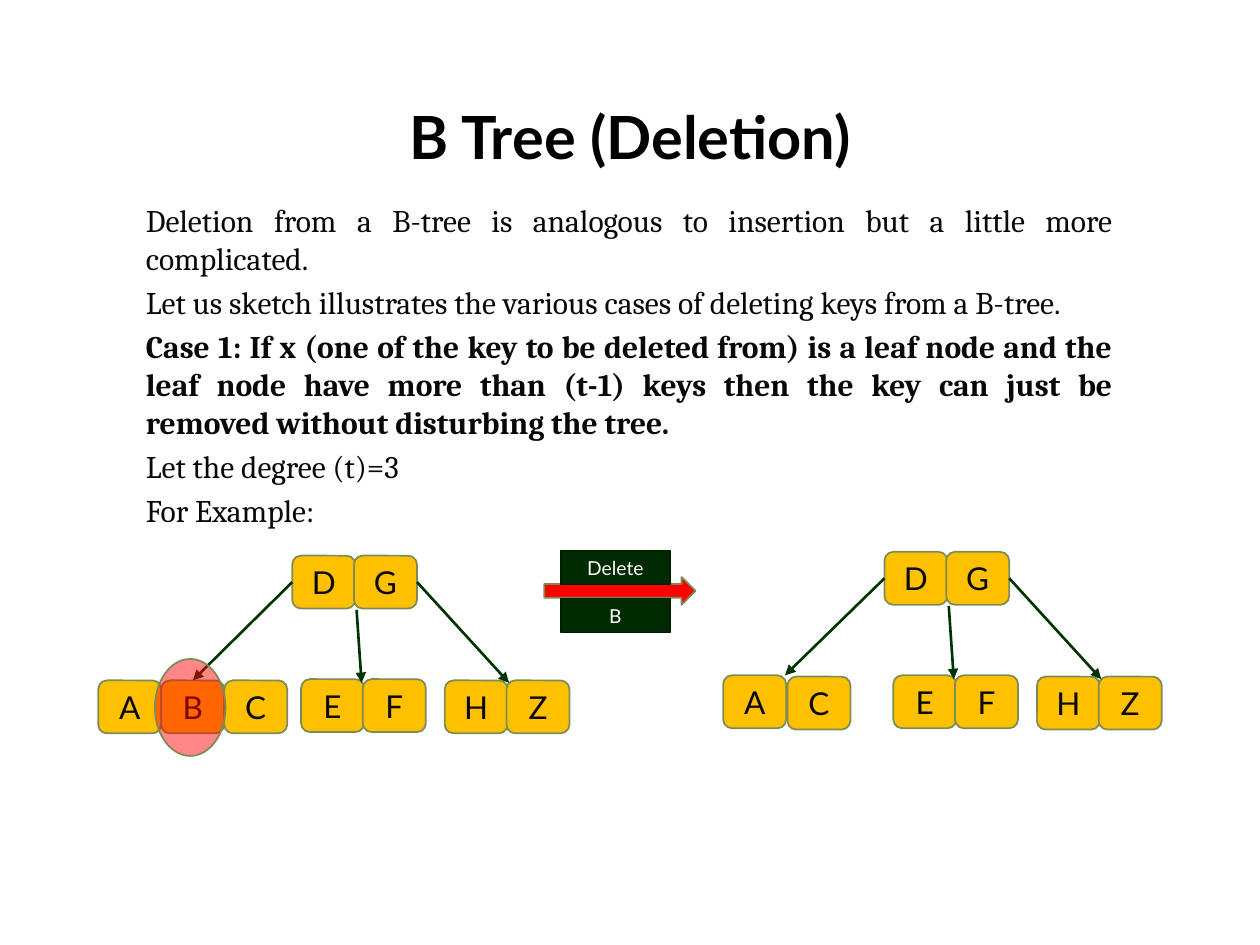
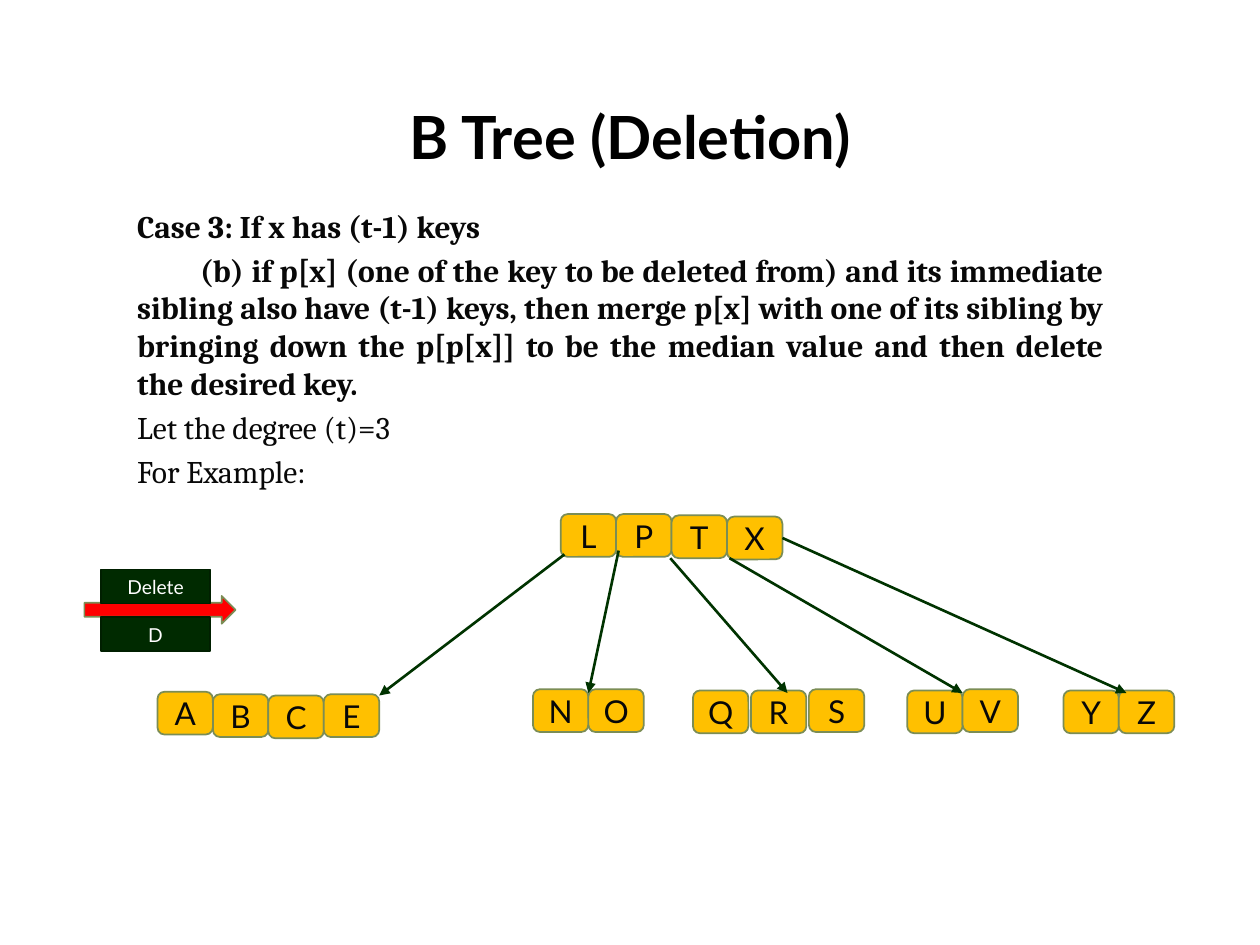
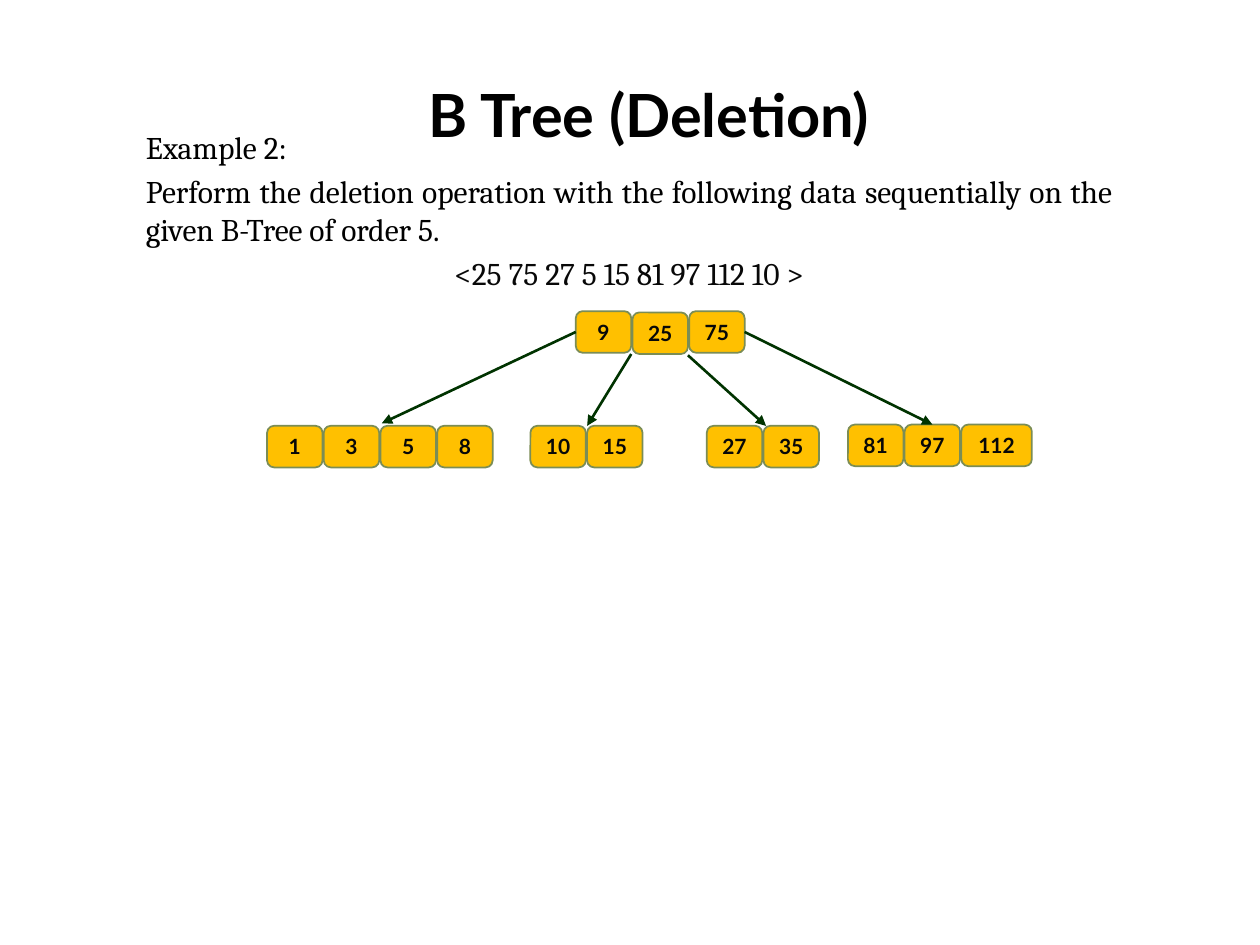
from dataclasses import dataclass

from lxml import etree
from pptx import Presentation
from pptx.dml.color import RGBColor
from pptx.enum import shapes as kinds, text as txt
from pptx.oxml.ns import qn
from pptx.util import Inches, Pt


@dataclass(frozen=True)
class Theme:
    heading_font: str = "Lato"
    body_font: str = "Cambria"
    title_size: int = 34
    body_size: int = 18
    badge_size: int = 11
    black: str = "000000"
    ink: str = "080808"
    white: str = "FFFFFF"
    gold: str = "FFC000"
    olive: str = "7B8D55"
    red: str = "FF0000"
    forest: str = "002A00"
    forest_edge: str = "001F00"
    link: str = "003300"


THEME = Theme()
TITLE = "B Tree (Deletion)"
LEFT, TOP, RIGHT = 1, 0, 3

JUSTIFY, CENTER = txt.PP_ALIGN.JUSTIFY, txt.PP_ALIGN.CENTER
DEGREE = [{"text": "Let the degree (t)=3"}, {"text": "For Example:"}]

SLIDES = [
    {
        "title_at": (0.5, 0.68),
        "body_at": (1.06, 1.55, 7.87, 4.74),
        "body": [
            {"text": "Deletion from a B-tree is analogous to insertion but a little more complicated."},
            {"text": "Let us sketch illustrates the various cases of deleting keys from a B-tree."},
            {"text": "Case 1: If x (one of the key to be deleted from) is a leaf node and the leaf node "
                     "have more than (t-1) keys then the key can just be removed without disturbing "
                     "the tree.", "bold": True},
            *DEGREE,
        ],
        "badge": ("B", 4.32, 4.58),
        "cell": {"width": 0.5, "height": 0.42, "pitch": 0.49, "size": 18, "bold": False},
        "trees": [
            {
                "nodes": [
                    {"keys": "DG", "at": (7.02, 4.38)},
                    {"keys": "AC", "at": (5.74, 5.36), "pitch": 0.51, "drops": (0, 0.01)},
                    {"keys": "EF", "at": (7.09, 5.36)},
                    {"keys": "HZ", "at": (8.23, 5.37)},
                ],
                "links": [
                    (("D", LEFT), (6.23, 5.36)),
                    ((7.53, 4.81), (7.57, 5.39)),
                    (("G", RIGHT), (8.74, 5.39)),
                ],
            },
            {
                "nodes": [
                    {"keys": "DG", "at": (2.32, 4.41)},
                    {"keys": "ABC", "at": (0.78, 5.4), "pitch": 0.5},
                    {"keys": "EF", "at": (2.39, 5.39)},
                    {"keys": "HZ", "at": (3.53, 5.4)},
                ],
                "links": [
                    (("D", LEFT), ("B", TOP)),
                    ((2.83, 4.84), (2.87, 5.42)),
                    (("G", RIGHT), (4.04, 5.42)),
                ],
            },
        ],
        "highlight": (1.23, 5.23, 0.56, 0.77),
    },
    {
        "title_at": (0.5, 0.68),
        "body_at": (0.99, 1.59, 7.87, 4.74),
        "body": [
            {"text": "Case 3: If x has (t-1) keys", "bold": True},
            {"text": "(b) if p[x] (one of the key to be deleted from) and its immediate sibling also "
                     "have (t-1) keys, then merge p[x] with one of its sibling by bringing down the "
                     "p[p[x]] to be the median value and then delete the desired key.",
             "bold": True, "indent": 0.5},
            *DEGREE,
        ],
        "badge": ("D", 0.67, 4.73),
        "cell": {"width": 0.44, "height": 0.34, "pitch": 0.44, "size": 18, "bold": False},
        "trees": [
            {
                "nodes": [
                    {"keys": "LPTX", "at": (4.45, 4.08), "drops": (0, 0, 0.01, 0.02)},
                    {"keys": "ABCE", "at": (1.25, 5.49), "drops": (0, 0.02, 0.03, 0.02)},
                    {"keys": "NO", "at": (4.23, 5.47)},
                    {"keys": "QRS", "at": (5.5, 5.48), "pitch": 0.46, "drops": (0, 0, -0.01)},
                    {"keys": "UV", "at": (7.2, 5.48), "drops": (0, -0.01)},
                    {"keys": "YZ", "at": (8.44, 5.48)},
                ],
                "links": [
                    ((4.48, 4.4), (3.01, 5.52)),
                    ((4.91, 4.37), (4.67, 5.5)),
                    ((5.32, 4.43), (6.25, 5.5)),
                    ((5.79, 4.43), (7.64, 5.5)),
                    (("X", RIGHT), (8.94, 5.5)),
                ],
            },
        ],
    },
    {
        "title_at": (0.65, 0.51),
        "body_at": (1.06, 0.97, 7.87, 1.86),
        "body": [
            {"text": "Example 2:", "color": THEME.black},
            {"text": "Perform the deletion operation with the following data sequentially on the "
                     "given B-Tree of order 5.", "color": THEME.black},
            {"text": "<25 75 27 5 15 81 97 112 10 >", "align": CENTER},
        ],
        "cell": {"width": 0.44, "height": 0.33, "pitch": 0.45, "size": 12, "bold": True},
        "trees": [
            {
                "nodes": [
                    {"keys": ("9", "25", "75"), "at": (4.57, 2.47), "drops": (0, 0.01, 0)},
                    {"keys": ("1", "3", "5", "8"), "at": (2.12, 3.38)},
                    {"keys": ("10", "15"), "at": (4.21, 3.38)},
                    {"keys": ("27", "35"), "at": (5.61, 3.38)},
                    {"keys": ("81", "97", "112"), "at": (6.73, 3.37), "widths": {"112": 0.56}},
                ],
                "links": [
                    (("9", LEFT), (3.03, 3.36)),
                    ((5.01, 2.81), (4.66, 3.38)),
                    ((5.46, 2.82), (6.08, 3.38)),
                    (("75", RIGHT), ("97", TOP)),
                ],
            },
        ],
    },
]


def set_font(paragraph, family, size, color, bold=False):
    font = paragraph.font
    font.name, font.size, font.bold = family, Pt(size), bold
    font.color.rgb = RGBColor.from_string(color)


def add_block(slide, kind, box, fill, edge):
    block = slide.shapes.add_shape(kind, *map(Inches, box))
    block.shadow.inherit = False
    block.fill.solid()
    block.fill.fore_color.rgb = RGBColor.from_string(fill)
    block.line.color.rgb = RGBColor.from_string(edge)
    block.line.width = Pt(1)
    return block


def label(block, words, size, color, bold=False):
    frame = block.text_frame
    frame.margin_left = frame.margin_right = frame.margin_top = frame.margin_bottom = 0
    frame.vertical_anchor = txt.MSO_ANCHOR.MIDDLE
    paragraph = frame.paragraphs[0]
    paragraph.text = words
    paragraph.alignment = CENTER
    set_font(paragraph, THEME.heading_font, size, color, bold)


def add_title(slide, at):
    title = slide.shapes.title
    title.left, title.top, title.width, title.height = map(Inches, (*at, 9, 0.79))
    label(title, TITLE, THEME.title_size, THEME.black, True)


def add_body(slide, box, passages):
    frame = slide.shapes.add_textbox(*map(Inches, box)).text_frame
    frame.word_wrap = True
    for index, passage in enumerate(passages):
        paragraph = frame.add_paragraph() if index else frame.paragraphs[0]
        paragraph.text = passage["text"]
        paragraph.alignment = passage.get("align", JUSTIFY)
        if index:
            paragraph.space_before = Pt(3.6)
        if "indent" in passage:
            paragraph._p.get_or_add_pPr().set("indent", str(Inches(passage["indent"])))
        set_font(paragraph, THEME.body_font, THEME.body_size,
                 passage.get("color", THEME.ink), passage.get("bold", False))


def add_badge(slide, key, left, top):
    add_block(slide, kinds.MSO_SHAPE.RIGHT_ARROW, (left, top, 1.2, 0.22), THEME.red, THEME.olive)
    for words, drop in (("Delete", -0.21), (key, 0.17)):
        plate = add_block(slide, kinds.MSO_SHAPE.RECTANGLE, (left + 0.13, top + drop, 0.87, 0.27),
                          THEME.forest, THEME.forest_edge)
        label(plate, words, THEME.badge_size, THEME.white)


def add_node(slide, node, cell):
    left, top = node["at"]
    pitch = node.get("pitch", cell["pitch"])
    drops = node.get("drops", (0,) * len(node["keys"]))
    cells = {}
    for index, (key, drop) in enumerate(zip(node["keys"], drops)):
        width = node.get("widths", {}).get(key, cell["width"])
        box = (left + index * pitch, top + drop, width, cell["height"])
        cells[key] = add_block(slide, kinds.MSO_SHAPE.ROUNDED_RECTANGLE, box, THEME.gold, THEME.olive)
        label(cells[key], key, cell["size"], THEME.ink, cell["bold"])
    return cells


def add_link(slide, start, end, cells):
    points = [(0, 0) if place[0] in cells else place for place in (start, end)]
    link = slide.shapes.add_connector(kinds.MSO_CONNECTOR.STRAIGHT,
                                      *(Inches(value) for point in points for value in point))
    for place, connect in ((start, link.begin_connect), (end, link.end_connect)):
        if place[0] in cells:
            connect(cells[place[0]], place[1])
    link.line.color.rgb = RGBColor.from_string(THEME.link)
    link.line.width = Pt(1.5)
    etree.SubElement(link.line._get_or_add_ln(), qn("a:tailEnd"), type="triangle")
    etree.SubElement(link._element.spPr, qn("a:effectLst"))


def add_tree(slide, tree, cell):
    cells = {}
    for node in tree["nodes"]:
        cells.update(add_node(slide, node, cell))
    for start, end in tree["links"]:
        add_link(slide, start, end, cells)


def add_highlight(slide, box):
    halo = add_block(slide, kinds.MSO_SHAPE.OVAL, box, THEME.red, THEME.olive)
    tint = halo._element.spPr.find(qn("a:solidFill"))[0]
    etree.SubElement(tint, qn("a:alpha"), val="47000")


def main():
    deck = Presentation()
    deck.slide_width, deck.slide_height = Inches(10), Inches(7.5)
    for content in SLIDES:
        slide = deck.slides.add_slide(deck.slide_layouts[5])
        add_title(slide, content["title_at"])
        add_body(slide, content["body_at"], content["body"])
        if "badge" in content:
            add_badge(slide, *content["badge"])
        for tree in content["trees"]:
            add_tree(slide, tree, content["cell"])
        if "highlight" in content:
            add_highlight(slide, content["highlight"])
    deck.save("out.pptx")


if __name__ == "__main__":
    main()
